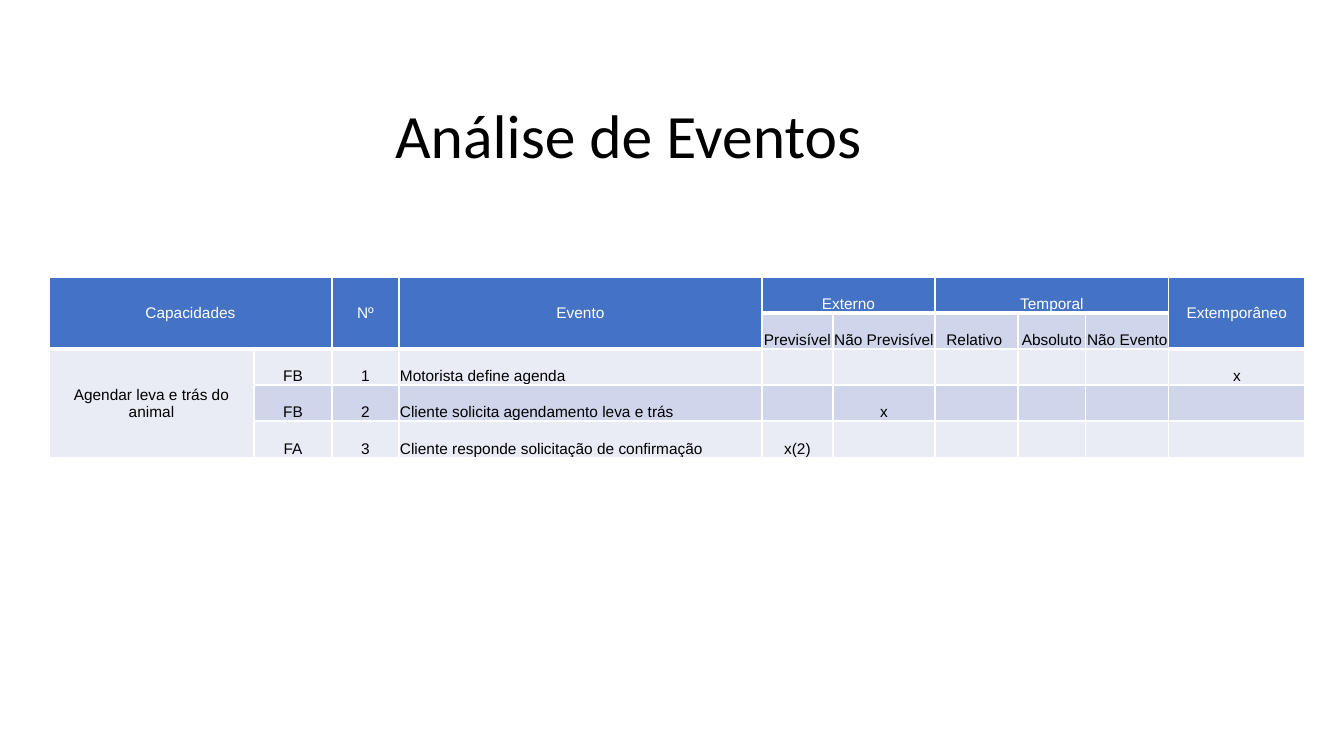
"""Builds the event analysis slide with its table of capabilities."""
from lxml.etree import SubElement as Sub
from pptx import Presentation
from pptx.dml.color import RGBColor as Rgb
from pptx.enum.text import MSO_ANCHOR as Anchor, PP_ALIGN as Align
from pptx.oxml.ns import qn
from pptx.util import Pt

SCALE = 914400 / 100.8
HUES = {"white": "FFFFFF", "black": "000000", "head": "4472C4",
        "dark": "CFD5EA", "light": "E9EBF5"}


def px(num):
    return round(num * SCALE)


class Deck:
    def __init__(self):
        self.show = Presentation()
        self.show.slide_width, self.show.slide_height = px(1344), px(756)
        self.slide = self.show.slides.add_slide(self.show.slide_layouts[6])

    def style(self, para, face, size, hue, align):
        para.alignment = align
        font = para.font
        font.name, font.size = face, Pt(size)
        font.color.rgb = Rgb.from_string(HUES[hue])

    def title(self, text, box):
        frame = self.slide.shapes.add_textbox(*map(px, box)).text_frame
        frame.word_wrap = True
        frame.vertical_anchor = Anchor.MIDDLE
        para = frame.paragraphs[0]
        para.text = text
        para.line_spacing = 0.9
        self.style(para, "Calibri", 44, "black", Align.CENTER)

    def edge(self, cell, base):
        props = cell._tc.get_or_add_tcPr()
        for side, wide in zip("LRTB", (1, 1, 1, base)):
            line = Sub(props, qn("a:ln" + side), w=str(Pt(wide)))
            fill = Sub(line, qn("a:solidFill"))
            Sub(fill, qn("a:srgbClr"), val=HUES["white"])

    def cell(self, cell, text, fill, hue, align, anchor, base):
        self.edge(cell, base)
        cell.fill.solid()
        cell.fill.fore_color.rgb = Rgb.from_string(HUES[fill])
        cell.margin_left = cell.margin_right = cell.margin_top = px(1)
        cell.margin_bottom = 0
        cell.vertical_anchor = anchor
        para = cell.text_frame.paragraphs[0]
        if text:
            para.text = text
        self.style(para, "Arial", 11, hue, align)

    def table(self, spot, cols, rows, data, spans):
        size = sum(cols), sum(rows)
        grid = self.slide.shapes.add_table(
            len(rows), len(cols), *map(px, (*spot, *size))).table
        for col, wide in zip(grid.columns, cols):
            col.width = px(wide)
        for row, high in zip(grid.rows, rows):
            row.height = px(high)
        for r, line in enumerate(data):
            head = r == 0
            fill = "head" if head else "dark" if r % 2 else "light"
            for c in range(len(cols)):
                tall = spans.get((r, c), (1, 1))[0] > 1
                self.cell(grid.cell(r, c), line.get(c), fill,
                          "white" if head else "black",
                          Align.LEFT if c == 3 and r > 1 else Align.CENTER,
                          Anchor.MIDDLE if tall else Anchor.BOTTOM,
                          3 if head else 1)
        for (r, c), (down, over) in spans.items():
            grid.cell(r, c).merge(grid.cell(r + down - 1, c + over - 1))


COLS = (205, 78, 67, 363, 71, 102, 83, 68, 83, 136)
ROWS = (36, 36, 36, 36, 37)
SPANS = {(0, 0): (2, 2), (0, 2): (2, 1), (0, 3): (2, 1), (0, 4): (1, 2),
         (0, 6): (1, 3), (0, 9): (2, 1), (2, 0): (3, 1)}
DATA = (
    {0: "Capacidades", 2: "Nº", 3: "Evento", 4: "Externo", 6: "Temporal",
     9: "Extemporâneo"},
    {4: "Previsível", 5: "Não Previsível", 6: "Relativo ", 7: "Absoluto",
     8: "Não Evento"},
    {0: "Agendar leva e trás do animal", 1: "FB", 2: "1",
     3: "Motorista define agenda", 9: "x"},
    {1: "FB", 2: "2", 3: "Cliente solicita agendamento leva e trás", 5: "x"},
    {1: "FA", 2: "3", 3: "Cliente responde solicitação de confirmação",
     4: "x(2)"},
)

deck = Deck()
deck.title("Análise de Eventos", (49, 66, 1159, 146))
deck.table((49, 277), COLS, ROWS, DATA, SPANS)
deck.show.save("out.pptx")
